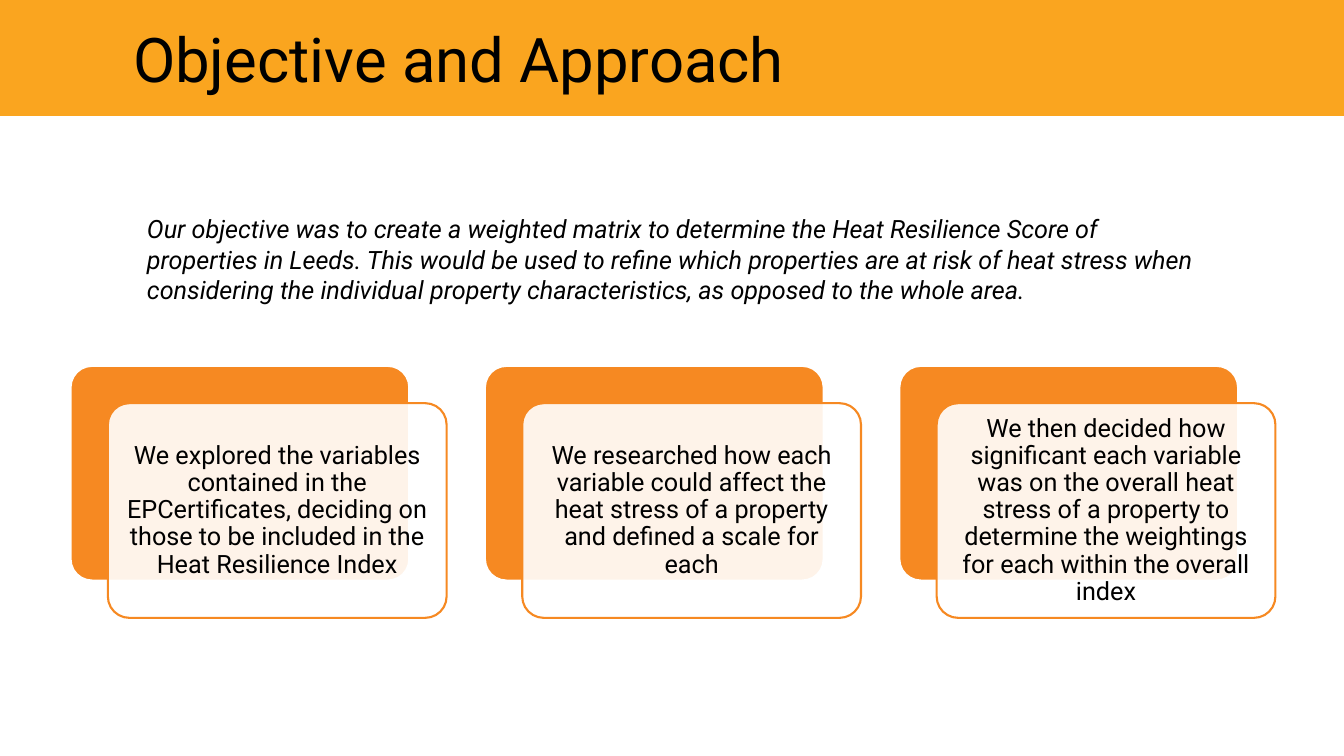
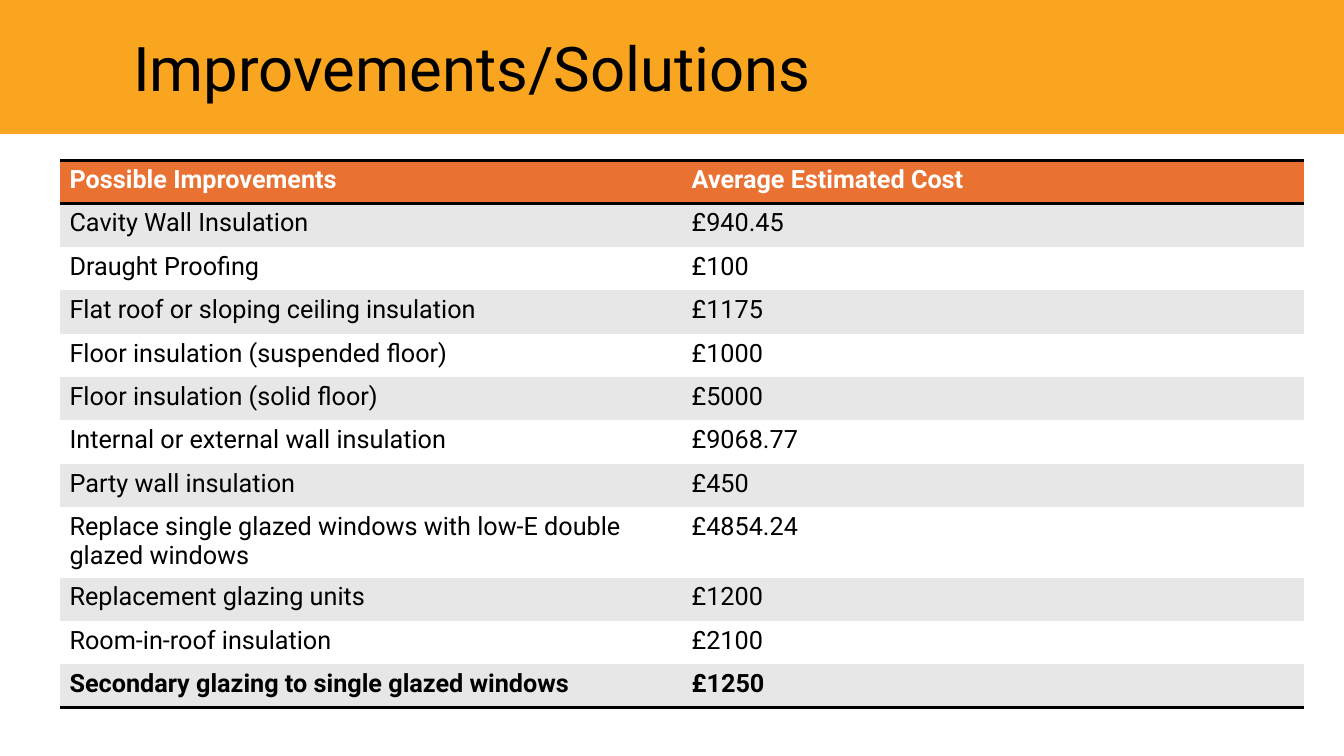
from lxml import etree
from pptx import Presentation
from pptx.dml.color import RGBColor
from pptx.enum.shapes import MSO_SHAPE
from pptx.enum.text import MSO_ANCHOR, PP_ALIGN
from pptx.oxml.ns import qn
from pptx.util import Emu, Pt

RECT, ROUNDED = MSO_SHAPE.RECTANGLE, MSO_SHAPE.ROUNDED_RECTANGLE
MIDDLE = MSO_ANCHOR.MIDDLE
LEFT, CENTER = PP_ALIGN.LEFT, PP_ALIGN.CENTER

# Shared style
FONT = "Roboto"
BLACK, WHITE, GREY = "000000", "FFFFFF", "E7E7E7"
BAND, CARD, HEADER = "FAA51F", "F68922", "E97132"
TITLE_SIZE, BODY_SIZE = 44, 18
PX = 9144  # 100 px to the inch
SLIDE_W, SLIDE_H = 1333, 750
NO_GRID_STYLE = "{2D5ABB26-0587-4C30-8999-92F81FD0307C}"

OBJECTIVE = (
    "Our objective was to create a weighted matrix to determine the Heat Resilience Score "
    "of properties in Leeds. This would be used to refine which properties are at risk of "
    "heat stress when considering the individual property characteristics, as opposed to "
    "the whole area."
)
STEPS = [
    "We explored the variables contained in the EPCertificates, deciding on those to be "
    "included in the Heat Resilience Index",
    "We researched how each variable could affect the heat stress of a property and "
    "defined a scale for each",
    "We then decided how significant each variable was on the overall heat stress of a "
    "property to determine the weightings for each within the overall index",
]
COSTS = [
    ("Possible Improvements", "Average Estimated Cost"),
    ("Cavity Wall Insulation", "£940.45"),
    ("Draught Proofing", "£100"),
    ("Flat roof or sloping ceiling insulation", "£1175"),
    ("Floor insulation (suspended floor)", "£1000"),
    ("Floor insulation (solid floor)", "£5000"),
    ("Internal or external wall insulation", "£9068.77"),
    ("Party wall insulation", "£450"),
    ("Replace single glazed windows with low-E double glazed windows", "£4854.24"),
    ("Replacement glazing units", "£1200"),
    ("Room-in-roof insulation", "£2100"),
    ("Secondary glazing to single glazed windows", "£1250"),
]


def px(n):
    return Emu(n * PX)


def rgb(color):
    return RGBColor.from_string(color)


def write(tf, text, size=BODY_SIZE, color=BLACK, bold=False, italic=False, align=LEFT):
    p = tf.paragraphs[0]
    p.text = text
    p.alignment = align
    font = p.font
    font.name, font.size, font.bold, font.italic = FONT, Pt(size), bold, italic
    font.color.rgb = rgb(color)
    return p


def add_box(s, kind, x, y, w, h, fill, line=None):
    sp = s.shapes.add_shape(kind, px(x), px(y), px(w), px(h))
    sp.shadow.inherit = False
    sp.fill.solid()
    sp.fill.fore_color.rgb = rgb(fill)
    if line:
        sp.line.color.rgb = rgb(line)
        sp.line.width = Pt(1.5)
    else:
        sp.line.fill.background()
    return sp


def set_opacity(sp, percent):
    color = sp.fill._xPr.find(qn("a:solidFill"))[0]
    etree.SubElement(color, qn("a:alpha")).set("val", str(percent * 1000))


def add_title_slide(prs, title, band_h):
    s = prs.slides.add_slide(prs.slide_layouts[6])
    tf = add_box(s, RECT, 0, 0, SLIDE_W, band_h, BAND).text_frame
    tf.margin_left = px(132)
    tf.vertical_anchor = MIDDLE
    write(tf, title, TITLE_SIZE)
    return s


def add_text(s, x, y, w, h, text, **style):
    tf = s.shapes.add_textbox(px(x), px(y), px(w), px(h)).text_frame
    tf.word_wrap = True
    write(tf, text, **style)


def add_card(s, x, y, text):
    w, h, shift = 336, 213, 37
    back = add_box(s, ROUNDED, x, y, w, h, CARD, WHITE)
    front = add_box(s, ROUNDED, x + shift, y + shift, w, h, WHITE, CARD)
    back.adjustments[0] = front.adjustments[0] = 0.1
    set_opacity(front, 90)
    tf = front.text_frame
    tf.word_wrap = True
    tf.vertical_anchor = MIDDLE
    tf.margin_left = tf.margin_right = tf.margin_top = tf.margin_bottom = px(7)
    write(tf, text, align=CENTER).line_spacing = 0.9


def add_border(cell, side):
    ln = etree.SubElement(cell._tc.get_or_add_tcPr(), qn(f"a:ln{side}"), w=str(Pt(2)))
    fill = etree.SubElement(ln, qn("a:solidFill"))
    etree.SubElement(fill, qn("a:srgbClr"), val=BLACK)


def add_cost_table(s, x, y, col_w, row_h, rows):
    n_cols, last = len(rows[0]), len(rows) - 1
    frame = s.shapes.add_table(len(rows), n_cols, px(x), px(y),
                               px(col_w * n_cols), px(row_h * len(rows)))
    table = frame.table
    table._tbl.tblPr.find(qn("a:tableStyleId")).text = NO_GRID_STYLE
    for col in table.columns:
        col.width = px(col_w)
    for i, row in enumerate(rows):
        table.rows[i].height = px(row_h)
        fill = HEADER if i == 0 else GREY if i % 2 else WHITE
        sides = "TB" if i == 0 else "B" if i == last else ""
        for j, text in enumerate(row):
            cell = table.cell(i, j)
            # Borders must stand before the fill
            for side in sides:
                add_border(cell, side)
            cell.fill.solid()
            cell.fill.fore_color.rgb = rgb(fill)
            write(cell.text_frame, text, color=BLACK if i else WHITE, bold=i in (0, last))


def main():
    prs = Presentation()
    prs.slide_width, prs.slide_height = px(SLIDE_W), px(SLIDE_H)

    # Objective and the three steps
    s = add_title_slide(prs, "Objective and Approach", 115)
    add_text(s, 136, 207, 1064, 101, OBJECTIVE, italic=True)
    for i, step in enumerate(STEPS):
        add_card(s, 70 + 411 * i, 363, step)

    # Cost of each improvement
    s = add_title_slide(prs, "Improvements/Solutions", 133)
    add_cost_table(s, 59, 159, 617, 43, COSTS)

    prs.save("out.pptx")


if __name__ == "__main__":
    main()
